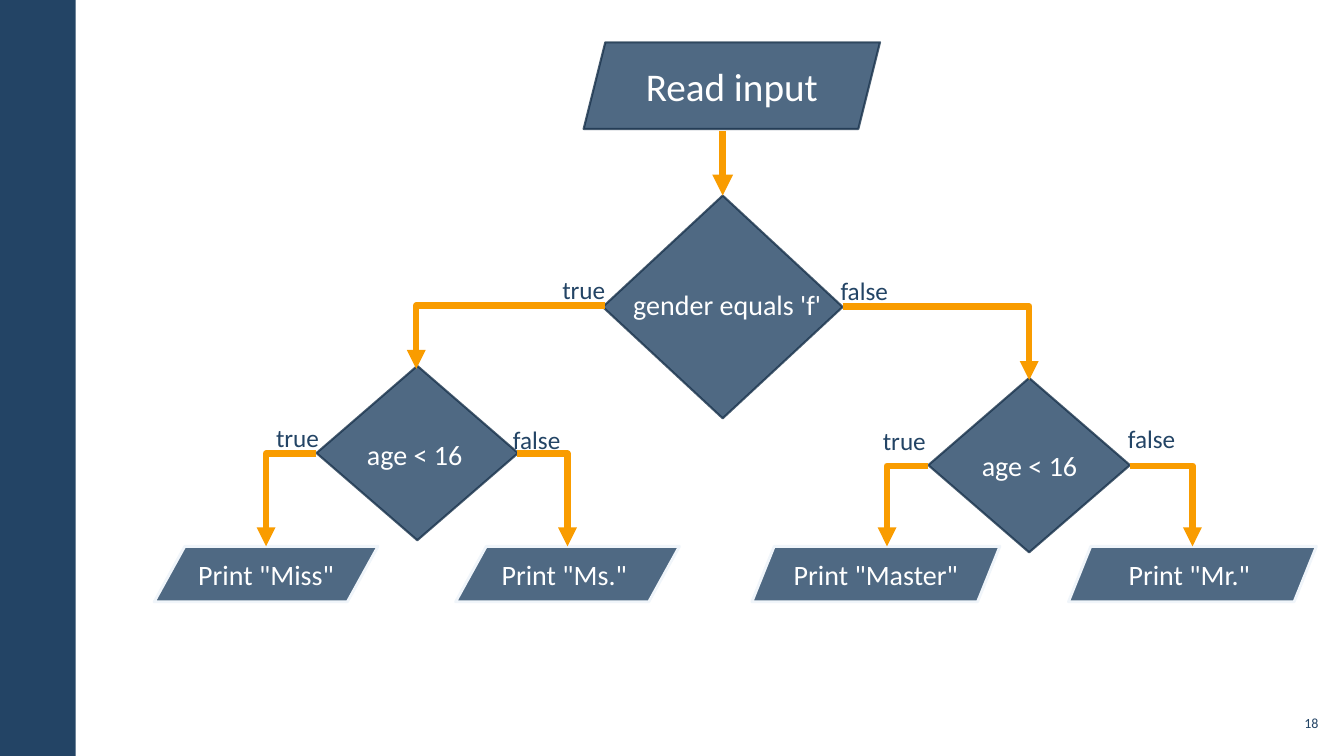
from lxml import etree
from pptx import Presentation
from pptx import util as u
from pptx.dml.color import RGBColor
from pptx.enum import shapes, text
from pptx.oxml.ns import qn

COLORS = {"navy": "234465", "edge": "1A334C", "pale": "F0F5FA",
          "orange": "F99C00", "white": "FFFFFF"}
FONT = "Calibri"
COLUMNS, ROWS = 133.33, 75  # grid of tenth-inch cells


def write(frame, words, size=20, color="white", align="LEFT", anchor="TOP",
          insets=(1, 0.5), spacing=None, wrap=True):
    """Put one formatted paragraph in a text frame."""
    frame.word_wrap = wrap
    frame.vertical_anchor = getattr(text.MSO_ANCHOR, anchor)
    side, end = (u.Inches(inset / 10) for inset in insets)
    frame.margin_left = frame.margin_right = side
    frame.margin_top = frame.margin_bottom = end
    para = frame.paragraphs[0]
    para.alignment = getattr(text.PP_ALIGN, align)
    if spacing:
        para.line_spacing = spacing
    span = para.add_run()
    span.text = words
    span.font.size = u.Pt(size)
    span.font.name = FONT
    span.font.color.rgb = RGBColor.from_string(COLORS[color])


class Flowchart:
    def __init__(self):
        self.deck = Presentation()
        self.deck.slide_width = u.Inches(COLUMNS / 10)
        self.deck.slide_height = u.Inches(ROWS / 10)
        self.page = self.deck.slides.add_slide(self.deck.slide_layouts[6])

    def cells(self, *lengths):
        return [u.Inches(length / 10) for length in lengths]

    def paint(self, fill, color, alpha=None):
        fill.solid()
        fill.fore_color.rgb = RGBColor.from_string(COLORS[color])
        if alpha:
            tint = fill._xPr.find(".//" + qn("a:srgbClr"))
            etree.SubElement(tint, qn("a:alpha"), val=str(alpha * 1000))

    def shape(self, kind, place, line=None, width=1.5, alpha=80, line_alpha=80):
        box = self.page.shapes.add_shape(
            getattr(shapes.MSO_SHAPE, kind), *self.cells(*place))
        box.shadow.inherit = False
        self.paint(box.fill, "navy", alpha)
        if line:
            box.line.width = u.Pt(width)
            self.paint(box.line.fill, line, line_alpha)
        else:
            box.line.fill.background()
        return box

    def step(self, words, place, slant, size=20, **outline):
        box = self.shape("PARALLELOGRAM", place, **outline)
        box.adjustments[0] = slant
        write(box.text_frame, words, size, align="CENTER", anchor="MIDDLE")

    def label(self, words, place, **style):
        box = self.page.shapes.add_textbox(*self.cells(*place))
        write(box.text_frame, words, **style)

    def decision(self, words, place, caption, align="LEFT"):
        diamond = self.shape("DIAMOND", place, line="edge")
        self.label(words, caption, align=align, insets=(1.6, 1.2), spacing=1.1)
        return diamond

    def arrow(self, start, end, width=4.5, bent=True):
        kind = shapes.MSO_CONNECTOR.ELBOW if bent else shapes.MSO_CONNECTOR.STRAIGHT
        link = self.page.shapes.add_connector(kind, *self.cells(*start, *end))
        if bent:  # a single corner: across, then down
            link._element.spPr.find(qn("a:prstGeom")).set("prst", "bentConnector2")
        link.line.width = u.Pt(width)
        self.paint(link.line.fill, "orange")
        etree.SubElement(link.line._get_or_add_ln(), qn("a:tailEnd"), type="triangle")
        etree.SubElement(link._element.spPr, qn("a:effectLst"))
        return link

    def branch(self, answer, place, start, end):
        self.arrow(start, end)
        self.label(answer, place, size=18, color="navy", wrap=place[2] > 7)


def main():
    chart = Flowchart()

    # Side band and page number
    chart.shape("RECTANGLE", (0, 0, 7.5, ROWS), alpha=None)
    chart.label("18", (126.5, 70, 4.7, 3.4), size=10, color="navy",
                align="RIGHT", anchor="MIDDLE", insets=(0.4, 0.4))

    # Input
    chart.step("Read input", (57.9, 4.2, 29.4, 8.6), 0.25, size=28, line="edge")

    # Printed results
    for words, left, width, slant in (
            ('Print "Miss" ', 15.3, 22.2, 0.552), ('Print "Ms." ', 45.2, 22.2, 0.552),
            ('Print "Master" ', 74.6, 24.6, 0.403), ('Print "Mr." ', 106, 24.6, 0.403)):
        chart.step(words, (left, 54.2, width, 5.5), slant,
                   line="pale", width=2, line_alpha=None)

    # Decisions
    gender = chart.decision("gender equals 'f'", (59.8, 19.4, 23.8, 22.1),
                            (57, 27, 30.3, 5.9), align="CENTER")
    chart.decision("age < 16", (31.4, 36.3, 20, 17.3), (34.8, 41.9, 14.5, 5.9))
    chart.decision("age < 16", (92.1, 37.5, 20, 17.3), (95.8, 43, 14.5, 5.9))

    # Arrows and their answers
    entry = chart.arrow((71.7, 13), (71.7, 19.4), width=5, bent=False)
    entry.end_connect(gender, 0)
    for branch in (
            ("true", (54.8, 26.7, 9.7, 4), (60, 30.3), (41.3, 36.6)),
            ("false", (82.4, 26.8, 6.8, 4), (83.6, 30.4), (102.1, 37.7)),
            ("true", (26.4, 41.4, 6.3, 4), (31.4, 45), (26.4, 54.2)),
            ("false", (49.9, 41.6, 8.4, 4), (51.3, 45), (56.3, 54.2)),
            ("true", (86.6, 41.7, 6.3, 4), (92.1, 46.2), (88, 54.2)),
            ("false", (110.9, 41.5, 8.8, 4), (112.1, 46.2), (118.3, 54.2))):
        chart.branch(*branch)

    chart.deck.save("out.pptx")


if __name__ == "__main__":
    main()
